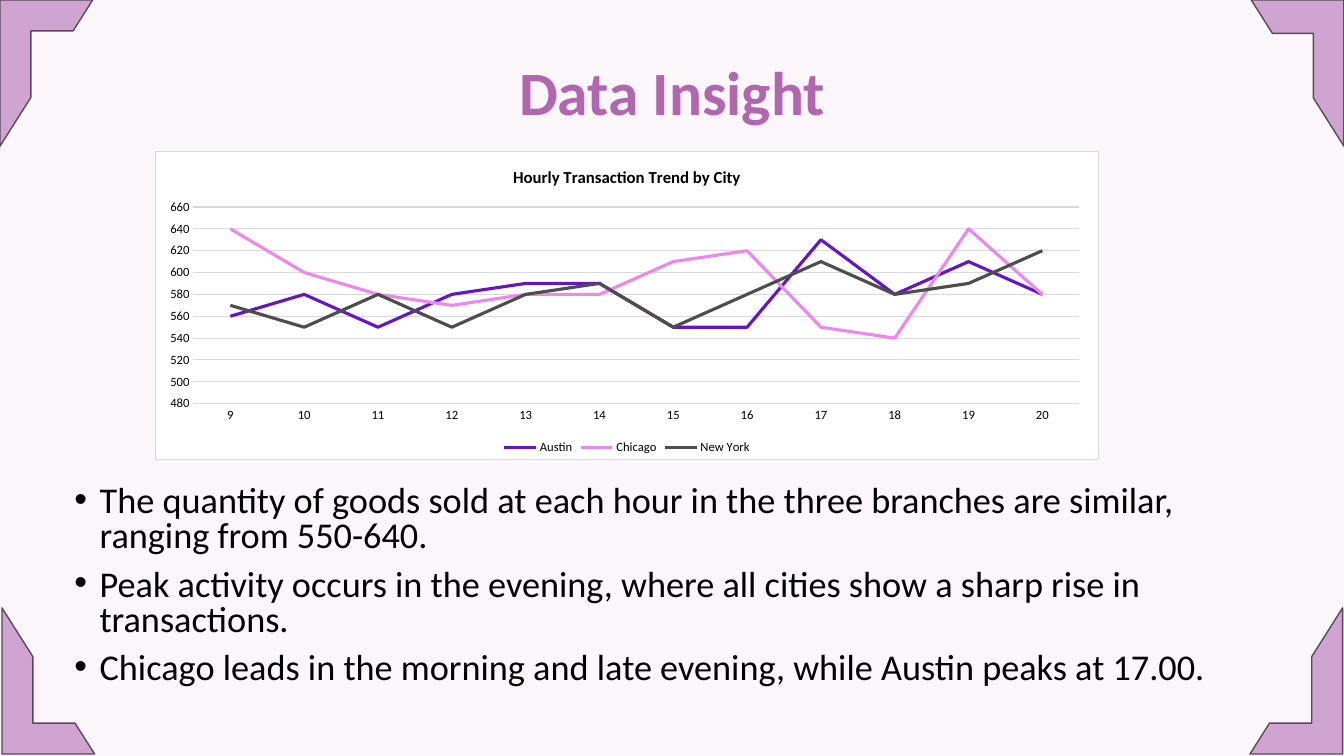
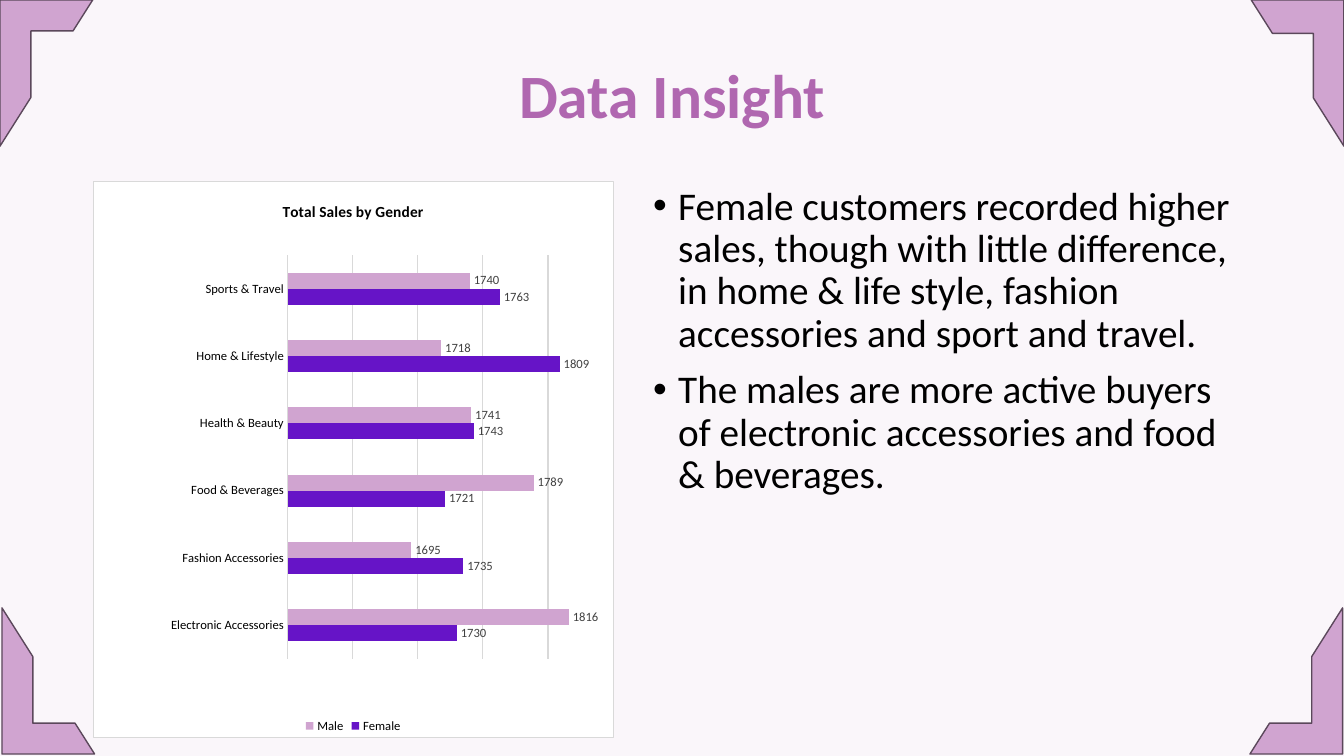
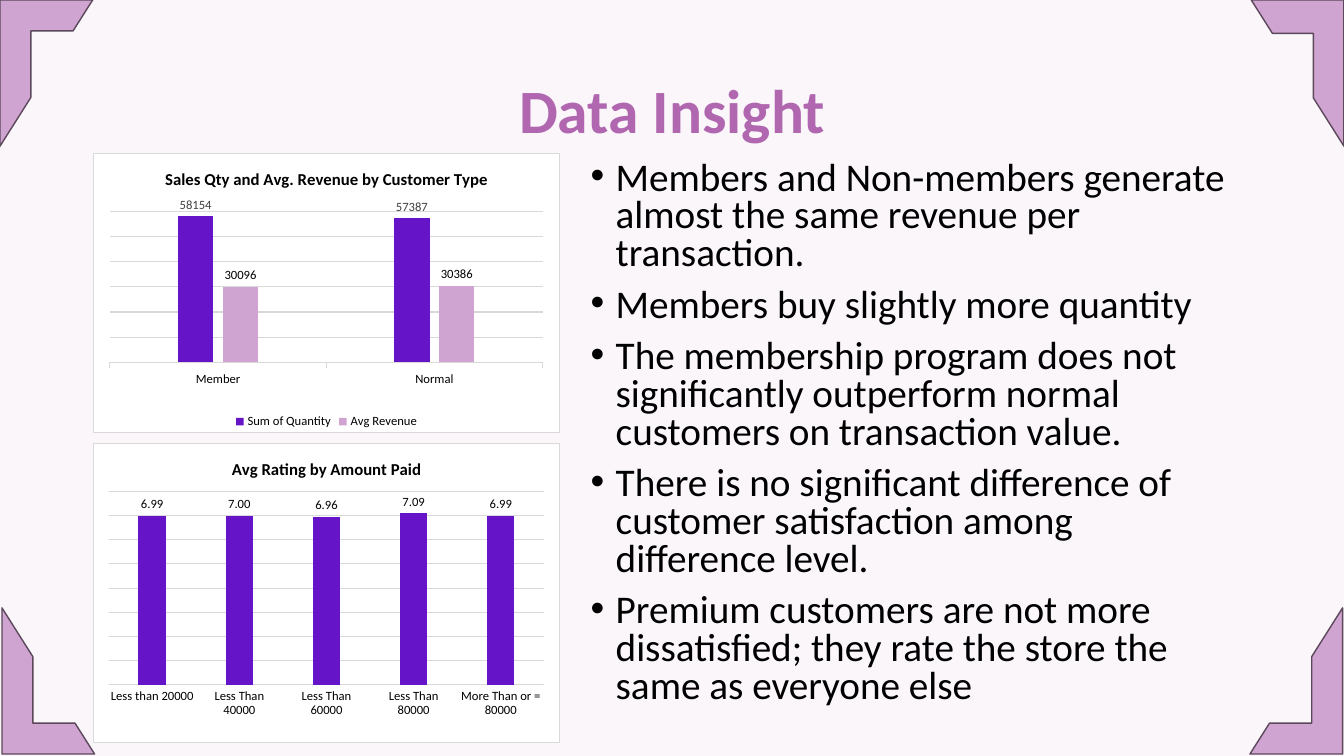
"""Build three data insight slides with charts and bullet findings."""
from dataclasses import dataclass

from lxml.etree import SubElement
from pptx import Presentation
from pptx.chart.chart import Chart
from pptx.chart.data import CategoryChartData
from pptx.dml.color import RGBColor
from pptx.enum.chart import XL_CHART_TYPE, XL_LABEL_POSITION, XL_LEGEND_POSITION, XL_TICK_MARK
from pptx.enum.shapes import MSO_SHAPE
from pptx.enum.text import MSO_ANCHOR, PP_ALIGN
from pptx.oxml import parse_xml
from pptx.oxml.ns import nsdecls, qn
from pptx.slide import Slide
from pptx.text.text import Font, TextFrame
from pptx.util import Pt

FONT = "Calibri"
BACKGROUND = "FAF6FA"
MAUVE = "D0A4D0"
CORNER_EDGE = "5B485B"
TITLE_COLOR = "B067B0"
VIOLET = "6614C7"
PINK = "ED87ED"
CHARCOAL = "4D4D4D"
BLACK = "000000"
LABEL_GREY = "404040"
GRID = "D9D9D9"
MARGIN = 66.2
CORNER_SIZE = (66.2, 104.4)

Box = tuple[float, float, float, float]


@dataclass(frozen=True)
class Corner:
    left: float
    top: float
    flip: str = ""
    rotation: float = 0
    thickness: float = 0.33333
    reach: float = 0.33333


@dataclass(frozen=True)
class Series:
    name: str
    values: tuple[float, ...]
    color: str
    label_color: str = LABEL_GREY
    label_format: str = "General"


@dataclass(frozen=True)
class ChartSpec:
    title: str
    kind: XL_CHART_TYPE
    box: Box
    plot: Box
    categories: tuple[str, ...]
    series: tuple[Series, ...]
    scale: tuple[float, float, float]
    title_size: float = 12
    gap: int = 219
    overlap: int = 0
    tick: XL_TICK_MARK = XL_TICK_MARK.NONE


@dataclass(frozen=True)
class Insight:
    title_height: float
    text_box: Box
    text_size: float
    line_spacing: float
    findings: tuple[str, ...]
    charts: tuple[ChartSpec, ...]


CORNERS = (
    Corner(0, 0),
    Corner(1.4, 434.2, flip="flipV"),
    Corner(893.8, 0, flip="flipH", thickness=0.36, reach=0.33),
    Corner(892.8, 434.2, rotation=180),
)

INSIGHTS = (
    Insight(
        79.2, (46.1, 343.4, 847.4, 167.8), 25.9, 0.8,
        (
            "The quantity of goods sold at each hour in the three branches are similar, ranging from 550-640.",
            "Peak activity occurs in the evening, where all cities show a sharp rise in transactions.",
            "Chicago leads in the morning and late evening, while Austin peaks at 17.00.",
        ),
        (
            ChartSpec(
                "Hourly Transaction Trend by City", XL_CHART_TYPE.LINE,
                (110.9, 108, 673.9, 220.3), (0.04, 0.18, 0.94, 0.64),
                tuple(str(hour) for hour in range(9, 21)),
                (
                    Series("Austin", (560, 580, 550, 580, 590, 590, 550, 550, 630, 580, 610, 580), VIOLET),
                    Series("Chicago", (640, 600, 580, 570, 580, 580, 610, 620, 550, 540, 640, 580), PINK),
                    Series("New York", (570, 550, 580, 550, 580, 590, 550, 580, 610, 580, 590, 620), CHARCOAL),
                ),
                (480, 660, 20),
            ),
        ),
    ),
    Insight(
        83.5, (459.4, 129.6, 434.9, 397.4), 28, 0.9,
        (
            "Female customers recorded higher sales, though with little difference, in home & life style, "
            "fashion accessories and sport and travel.",
            "The males are more active buyers of electronic accessories and food & beverages.",
        ),
        (
            ChartSpec(
                "Total Sales by Gender", XL_CHART_TYPE.BAR_CLUSTERED,
                (MARGIN, 129.6, 372.2, 397.4), (0.374, 0.132, 0.626, 0.727),
                ("Electronic Accessories", "Fashion Accessories", "Food & Beverages",
                 "Health & Beauty", "Home & Lifestyle", "Sports & Travel"),
                (
                    Series("Female", (1730, 1735, 1721, 1743, 1809, 1763), VIOLET),
                    Series("Male", (1816, 1695, 1789, 1741, 1718, 1740), MAUVE),
                ),
                (1600, 1850, 50), title_size=11,
            ),
        ),
    ),
    Insight(
        104.4, (414.7, 111.6, 478.8, 416.2), 28, 0.8,
        (
            "Members and Non-members generate almost the same revenue per transaction.",
            "Members buy slightly more quantity",
            "The membership program does not significantly outperform normal customers on transaction value.",
            "There is no significant difference of customer satisfaction among difference level.",
            "Premium customers are not more dissatisfied; they rate the store the same as everyone else",
        ),
        (
            ChartSpec(
                "Sales Qty and Avg. Revenue by Customer Type", XL_CHART_TYPE.COLUMN_CLUSTERED,
                (MARGIN, 109.4, 334.1, 200.2), (0.036, 0.208, 0.927, 0.539),
                ("Member", "Normal"),
                (
                    Series("Sum of Quantity", (58154, 57387), VIOLET),
                    Series("Avg Revenue", (30096, 30386), MAUVE, BLACK, "0"),
                ),
                (0, 60000, 10000), gap=385, overlap=-27, tick=XL_TICK_MARK.OUTSIDE,
            ),
            ChartSpec(
                "Avg Rating by Amount Paid", XL_CHART_TYPE.COLUMN_CLUSTERED,
                (MARGIN, 316.1, 334.1, 214.6), (0.033, 0.162, 0.934, 0.646),
                ("Less than 20000", "Less Than 40000", "Less Than 60000",
                 "Less Than 80000", "More Than or = 80000"),
                (Series("Series 1", (6.99, 7, 6.96, 7.09, 6.99), VIOLET, BLACK, "0.00"),),
                (0, 8, 1), overlap=-27,
            ),
        ),
    ),
)


def rgb(color: str) -> RGBColor:
    """Turn a hex string into a colour."""
    return RGBColor.from_string(color)


def style_font(font: Font, size: float, color: str = BLACK, bold: bool = False) -> None:
    """Apply the deck font with a size, colour and weight."""
    font.name = FONT
    font.size = Pt(size)
    font.bold = bold
    font.color.rgb = rgb(color)


def add_corner(slide: Slide, corner: Corner) -> None:
    """Draw one half frame in a corner of the slide."""
    frame = slide.shapes.add_shape(
        MSO_SHAPE.HALF_FRAME, Pt(corner.left), Pt(corner.top), *map(Pt, CORNER_SIZE))
    frame.adjustments[0] = corner.thickness
    frame.adjustments[1] = corner.reach
    frame.rotation = corner.rotation
    frame.shadow.inherit = False
    frame.fill.solid()
    frame.fill.fore_color.rgb = rgb(MAUVE)
    frame.line.color.rgb = rgb(CORNER_EDGE)
    frame.line.width = Pt(1)
    if corner.flip:
        frame.element.spPr.find(qn("a:xfrm")).set(corner.flip, "1")


def add_text_frame(slide: Slide, box: Box) -> TextFrame:
    """Add a wrapping text box and return its frame."""
    frame = slide.shapes.add_textbox(*map(Pt, box)).text_frame
    frame.word_wrap = True
    return frame


def add_title(slide: Slide, height: float) -> None:
    """Add the shared centred title."""
    frame = add_text_frame(slide, (MARGIN, 28.8, 828, height))
    frame.vertical_anchor = MSO_ANCHOR.MIDDLE
    heading = frame.paragraphs[0]
    heading.text = "Data Insight"
    heading.alignment = PP_ALIGN.CENTER
    heading.line_spacing = 0.9
    style_font(heading.font, 44, TITLE_COLOR, bold=True)


def add_findings(slide: Slide, insight: Insight) -> None:
    """Add the bulleted findings."""
    frame = add_text_frame(slide, insight.text_box)
    for index, finding in enumerate(insight.findings):
        paragraph = frame.add_paragraph() if index else frame.paragraphs[0]
        paragraph.text = finding
        paragraph.line_spacing = insight.line_spacing
        paragraph.space_before = Pt(10)
        style_font(paragraph.font, insight.text_size)
        properties = paragraph._p.get_or_add_pPr()
        properties.set("marL", str(Pt(18)))
        properties.set("indent", str(Pt(-18)))
        bullet_font = parse_xml(f'<a:buFont {nsdecls("a")} typeface="Arial"/>')
        bullet = parse_xml(f'<a:buChar {nsdecls("a")} char="•"/>')
        run_defaults = properties.find(qn("a:defRPr"))
        run_defaults.addprevious(bullet_font)
        run_defaults.addprevious(bullet)


def frame_chart(chart: Chart, plot: Box) -> None:
    """Give a chart a white panel, square corners and a fixed plot area."""
    space = chart.element
    if space.find(qn("c:roundedCorners")) is None:
        space.find(qn("c:date1904")).addnext(
            parse_xml(f'<c:roundedCorners {nsdecls("c")} val="0"/>'))
    space.find(qn("c:chart")).addnext(parse_xml(
        f'<c:spPr {nsdecls("c", "a")}>'
        '<a:solidFill><a:srgbClr val="FFFFFF"/></a:solidFill>'
        f'<a:ln w="{Pt(0.75)}"><a:solidFill><a:srgbClr val="{GRID}"/></a:solidFill></a:ln>'
        '</c:spPr>'))
    area = space.find(qn("c:chart")).find(qn("c:plotArea"))
    for automatic in area.findall(qn("c:layout")):
        area.remove(automatic)
    layout = parse_xml(f'<c:layout {nsdecls("c")}><c:manualLayout/></c:layout>')
    settings = {"layoutTarget": "inner", "xMode": "edge", "yMode": "edge"}
    settings.update(zip("xywh", map(str, plot)))
    for name, value in settings.items():
        SubElement(layout[0], qn(f"c:{name}")).set("val", value)
    area.insert(0, layout)


def style_axes(chart: Chart, spec: ChartSpec) -> None:
    """Set the scale, gridlines, lines and fonts of both axes."""
    values, categories = chart.value_axis, chart.category_axis
    values.minimum_scale, values.maximum_scale, values.major_unit = spec.scale
    values.has_major_gridlines = True
    for line in (values.major_gridlines.format.line, categories.format.line):
        line.color.rgb = rgb(GRID)
        line.width = Pt(0.75)
    values.format.line.fill.background()
    values.major_tick_mark = XL_TICK_MARK.NONE
    categories.major_tick_mark = spec.tick
    for axis in (values, categories):
        style_font(axis.tick_labels.font, 9)
    values.visible = spec.kind == XL_CHART_TYPE.LINE


def style_series(chart: Chart, spec: ChartSpec) -> None:
    """Colour the series and label the bars."""
    plot = chart.plots[0]
    plot.vary_by_categories = False
    is_line = spec.kind == XL_CHART_TYPE.LINE
    if not is_line:
        plot.gap_width = spec.gap
        plot.overlap = spec.overlap
    for drawn, series in zip(plot.series, spec.series):
        if is_line:
            drawn.smooth = False
            drawn.format.line.color.rgb = rgb(series.color)
            drawn.format.line.width = Pt(2.25)
            continue
        drawn.format.fill.solid()
        drawn.format.fill.fore_color.rgb = rgb(series.color)
        labels = drawn.data_labels
        labels.show_value = True
        labels.position = XL_LABEL_POSITION.OUTSIDE_END
        labels.number_format = series.label_format
        labels.number_format_is_linked = False
        style_font(labels.font, 9, series.label_color)


def add_chart(slide: Slide, spec: ChartSpec) -> None:
    """Add one native chart."""
    data = CategoryChartData()
    data.categories = spec.categories
    for series in spec.series:
        data.add_series(series.name, series.values)
    chart = slide.shapes.add_chart(spec.kind, *map(Pt, spec.box), data).chart
    style_font(chart.font, 10)
    chart.has_title = True
    heading = chart.chart_title.text_frame.paragraphs[0]
    heading.text = spec.title
    style_font(heading.font, spec.title_size, bold=True)
    chart.has_legend = len(spec.series) > 1
    if chart.has_legend:
        chart.legend.position = XL_LEGEND_POSITION.BOTTOM
        chart.legend.include_in_layout = False
        style_font(chart.legend.font, 9)
    style_axes(chart, spec)
    style_series(chart, spec)
    frame_chart(chart, spec.plot)


def main() -> None:
    """Build and save the deck."""
    deck = Presentation()
    deck.slide_width, deck.slide_height = Pt(960), Pt(540)
    backdrop = deck.slide_master.background.fill
    backdrop.solid()
    backdrop.fore_color.rgb = rgb(BACKGROUND)
    for insight in INSIGHTS:
        slide = deck.slides.add_slide(deck.slide_layouts[6])
        for corner in CORNERS:
            add_corner(slide, corner)
        add_title(slide, insight.title_height)
        add_findings(slide, insight)
        for spec in insight.charts:
            add_chart(slide, spec)
    deck.save("out.pptx")


if __name__ == "__main__":
    main()
